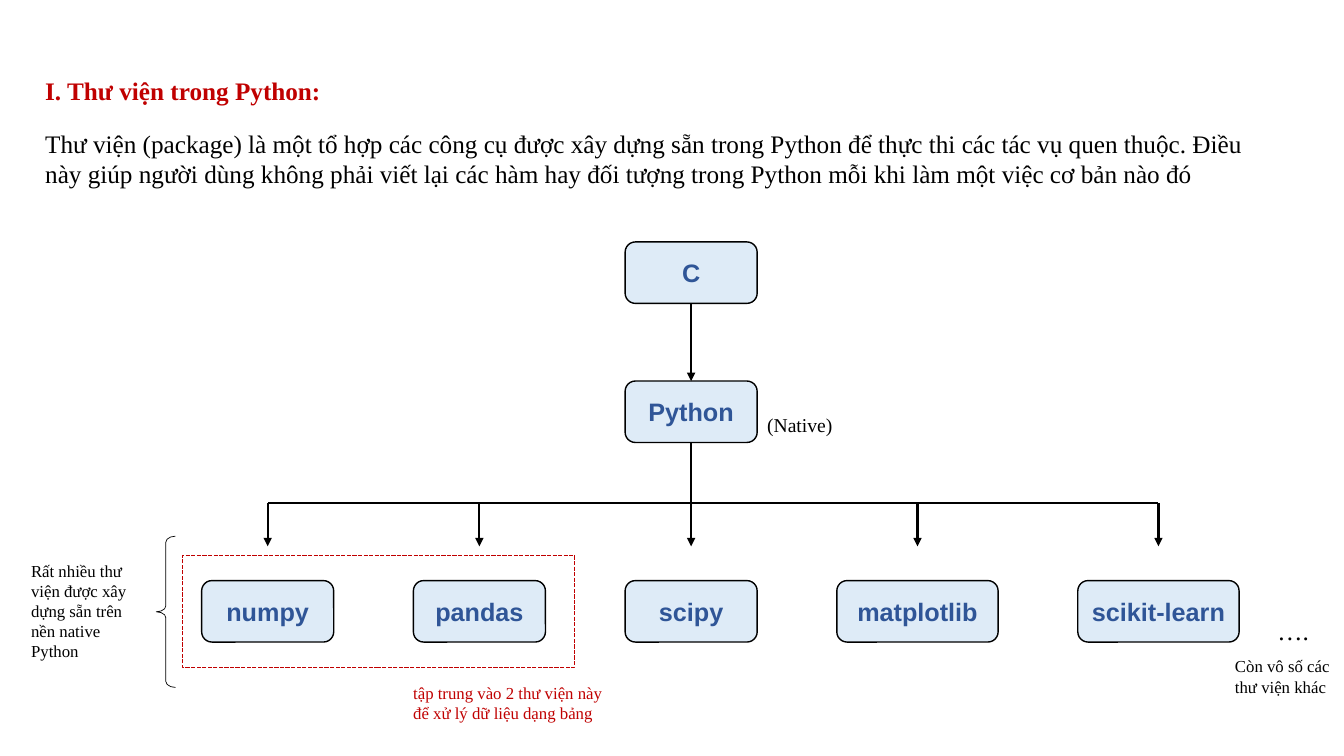
import lxml.etree
import pptx
import pptx.dml.color
import pptx.enum.dml
import pptx.enum.shapes
import pptx.enum.text
import pptx.oxml.ns
import pptx.util

COLS, ROWS = 13.33, 7.5  # grid of one-inch columns and rows
HUES = {"ink": "000000", "red": "C00000", "pale": "DEEBF7", "blue": "2F5597"}
SERIF, SANS = "Times New Roman", "Arial"
FORM = pptx.enum.shapes.MSO_SHAPE
HIGH = 0.61  # node height
WIDE = 1.31  # usual node width
GAP = 0.79  # space between library nodes


def grid(*vals):
    return [pptx.util.Inches(val) for val in vals]


def hue(name):
    return pptx.dml.color.RGBColor.from_string(HUES[name])


def write(frame, text, size=18, font=SERIF, color="ink", bold=False, mid=False):
    para = frame.paragraphs[0]
    para.text = text
    if mid:
        para.alignment = pptx.enum.text.PP_ALIGN.CENTER
        frame.vertical_anchor = pptx.enum.text.MSO_ANCHOR.MIDDLE
    for run in para.runs:
        run.font.size = pptx.util.Pt(size)
        run.font.name = font
        run.font.bold = bold
        run.font.color.rgb = hue(color)


def label(slide, box, text, wrap=True, **form):
    frame = slide.shapes.add_textbox(*grid(*box)).text_frame
    frame.word_wrap = wrap
    frame.auto_size = pptx.enum.text.MSO_AUTO_SIZE.SHAPE_TO_FIT_TEXT
    write(frame, text, **form)


def shape(slide, kind, box, line="ink", width=1, fill=None):
    item = slide.shapes.add_shape(kind, *grid(*box))
    item.shadow.inherit = False
    item.line.color.rgb = hue(line)
    item.line.width = pptx.util.Pt(width)
    if fill:
        item.fill.solid()
        item.fill.fore_color.rgb = hue(fill)
    else:
        item.fill.background()
    return item


def node(slide, box, text):
    item = shape(slide, FORM.ROUNDED_RECTANGLE, box, fill="pale")
    item.text_frame.word_wrap = True
    write(item.text_frame, text, font=SANS, color="blue", bold=True, mid=True)


def link(slide, start, end, arrow=False):
    kind = pptx.enum.shapes.MSO_CONNECTOR.STRAIGHT
    item = slide.shapes.add_connector(kind, *grid(*start, *end))
    item.line.color.rgb = hue("ink")
    item.line.width = pptx.util.Pt(1.5)
    name = pptx.oxml.ns.qn
    props = item.element.find(name("p:spPr"))
    if arrow:
        tail = lxml.etree.SubElement(props.find(name("a:ln")), name("a:tailEnd"))
        tail.set("type", "triangle")
    lxml.etree.SubElement(props, name("a:effectLst"))


def intro(slide, box):
    left, top, wide, high = box
    label(slide, (left, top, wide, 0.4), "I. Thư viện trong Python:",
          color="red", bold=True)
    label(slide, (left, top + 0.52, wide, high - 0.52),
          "Thư viện (package) là một tổ hợp các công cụ được xây dựng sẵn trong "
          "Python để thực thi các tác vụ quen thuộc. Điều này giúp người dùng "
          "không phải viết lại các hàm hay đối tượng trong Python mỗi khi làm "
          "một việc cơ bản nào đó")


def trunk(slide, box):
    """Stack C above Python and draw the stem down to the branches."""
    left, top, wide, high = box
    axis = left + wide / 2
    low = top + 1.38
    node(slide, (left, top, wide, HIGH), "C")
    node(slide, (left, low, wide, HIGH), "Python")
    label(slide, (left + wide, low + 0.27, 0.86, 0.34), "(Native)",
          wrap=False, size=14)
    link(slide, (axis, top + HIGH), (axis, low), arrow=True)
    link(slide, (axis, low + HIGH), (axis, top + high))


def branch(slide, box):
    """Set the library nodes in a row under one bar with arrows."""
    left, top, wide, high = box
    mids = []
    for name, width in (("numpy", WIDE), ("pandas", WIDE), ("scipy", WIDE),
                        ("matplotlib", 1.6), ("scikit-learn", 1.6)):
        node(slide, (left, top + high - HIGH, width, HIGH), name)
        mids.append(left + width / 2)
        left += width + GAP
    link(slide, (mids[-1], top), (mids[0], top))
    for mid in mids:
        link(slide, (mid, top), (mid, top + 0.43), arrow=True)


def notes(slide, box):
    left, top, wide, high = box
    # Brace and its remark
    brace = shape(slide, FORM.LEFT_BRACE, (left + 1.34, top, 0.19, 1.5), width=0.5)
    brace.adjustments[0] = 0.31
    label(slide, (left, top + 0.19, 1.37, 1.11),
          "Rất nhiều thư viện được xây dựng sẵn trên nền native Python", size=12)
    # Dashed frame round the two main libraries
    focus = shape(slide, FORM.RECTANGLE, (left + 1.6, top + 0.19, 3.89, 1.11), "red")
    focus.line.dash_style = pptx.enum.dml.MSO_LINE.SQUARE_DOT
    label(slide, (left + 3.79, top + 1.4, 2.14, 0.5),
          "tập trung vào 2 thư viện này \vđể xử lý dữ liệu dạng bảng",
          wrap=False, size=12, color="red")
    # Further libraries at the right edge
    right = left + wide
    label(slide, (right - 0.76, top + 0.74, 0.52, 0.4), "….", wrap=False)
    label(slide, (right - 1.18, top + 1.14, 1.19, 0.5),
          "Còn vô số các thư viện khác", size=12)


def main():
    deck = pptx.Presentation()
    deck.slide_width, deck.slide_height = grid(COLS, ROWS)
    slide = deck.slides.add_slide(deck.slide_layouts[6])
    intro(slide, (0.35, 0.7, 12.17, 1.23))
    trunk(slide, (6.2, 2.4, WIDE, 2.59))
    branch(slide, (2, 4.99, 10.3, 1.38))
    notes(slide, (0.21, 5.32, COLS - 0.21, 1.9))
    deck.save("out.pptx")


if __name__ == "__main__":
    main()
